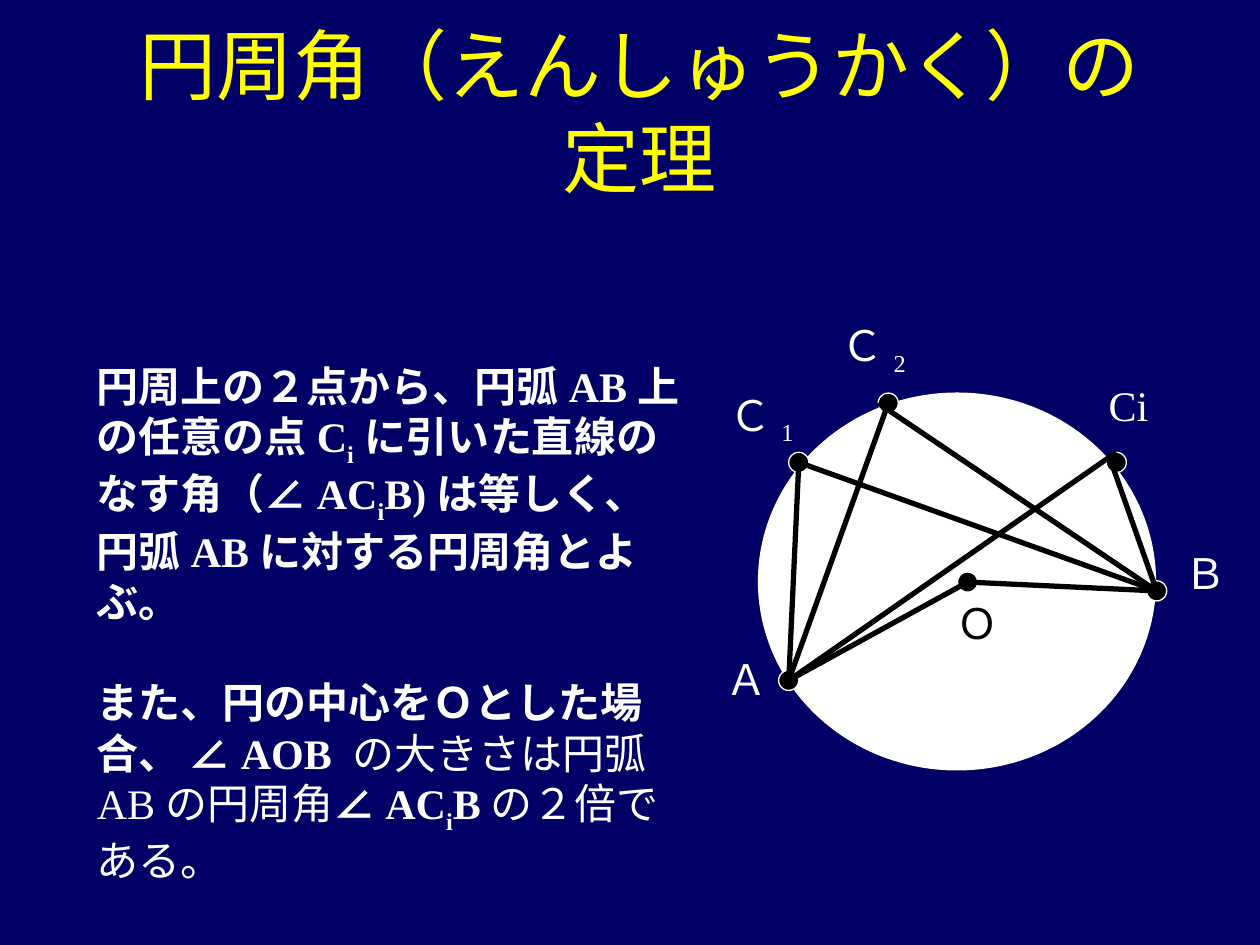
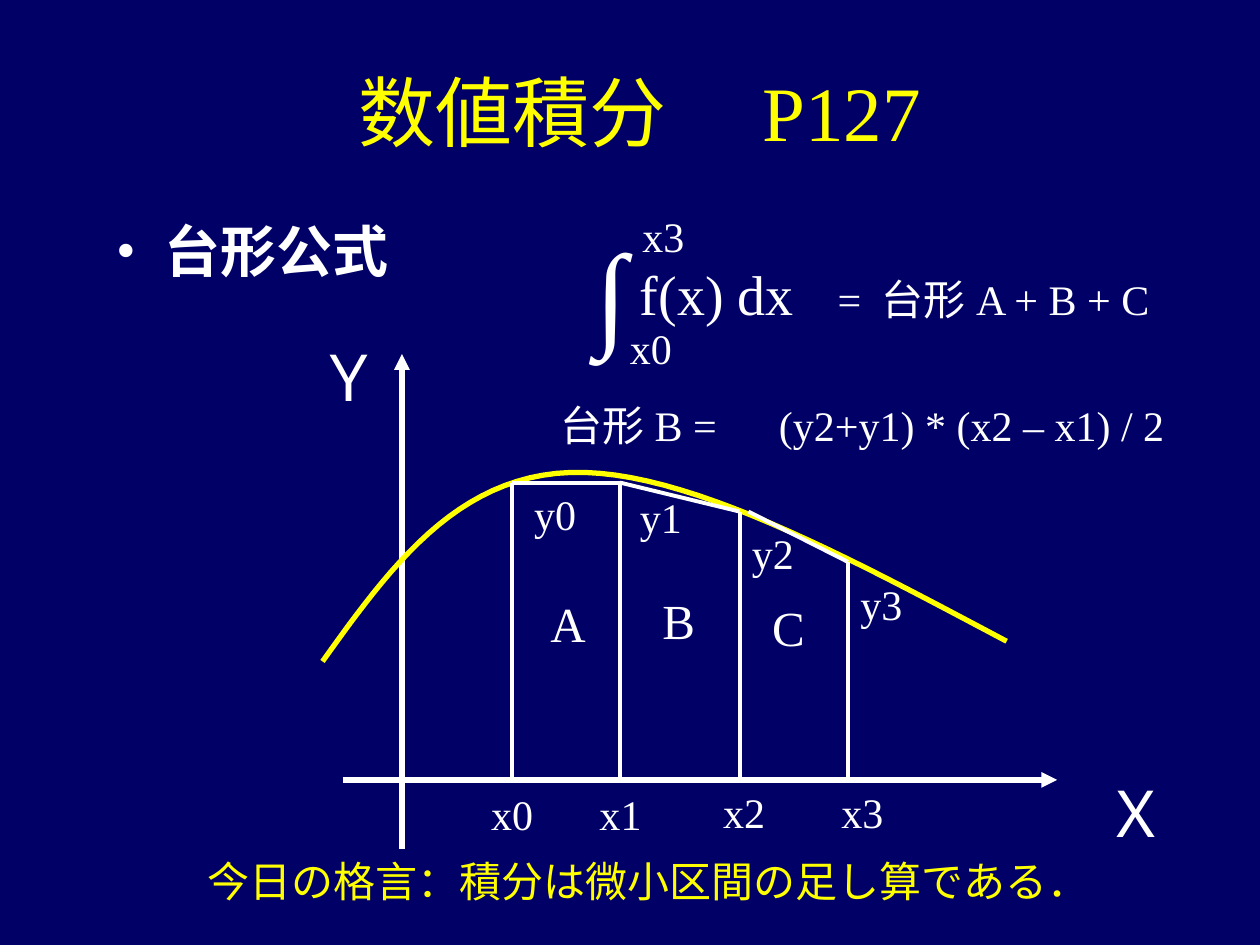
from pptx import Presentation
from pptx.dml.color import RGBColor
from pptx.enum.shapes import MSO_CONNECTOR, MSO_SHAPE
from pptx.enum.text import MSO_ANCHOR, MSO_AUTO_SIZE, PP_ALIGN
from pptx.oxml.ns import qn
from pptx.util import Inches, Pt
from lxml import etree

STRAIGHT, OVAL = MSO_CONNECTOR.STRAIGHT, MSO_SHAPE.OVAL
MIDDLE, CENTER = MSO_ANCHOR.MIDDLE, PP_ALIGN.CENTER
GROW = MSO_AUTO_SIZE.SHAPE_TO_FIT_TEXT

FONT = "Times New Roman"
COLORS = {"background": "000066", "accent": "FFFF00", "text": "FFFFFF", "ink": "000000"}
TITLE_BOX = (0.83, 0.25, 8.5, 1.25)
LABEL_SIZE = (0.53, 0.5)

# Slide 1: runs are (text, style), where style may hold "b" (bold), "_" (subscript), "s" (small)
CIRCLE_TITLE = "円周角（えんしゅうかく）の定理"
THEOREM_BOX = (0.67, 2.81, 4.88, 4.27)
THEOREM = [
    [("円周上の２点から、円弧AB上の任意の点C", "b"), ("i", "b_"),
     ("に引いた直線のなす角（∠AC", "b"), ("i", "b_"),
     ("B)は等しく、円弧ABに対する円周角とよぶ。", "b")],
    [("また、円の中心をＯとした場合、", "b"), (" ", "bs"), ("∠AOB ", "b"),
     ("の大きさは円弧ABの円周角", ""), ("∠AC", "b"), ("i", "b_"), ("B", "b"),
     ("の２倍である。", "")],
]
CIRCLE_BOX = (6.02, 3.12, 3.15, 2.99)
DOT_RADIUS = 0.08
POINTS = {"A": (6.26, 5.4), "B": (9.18, 4.69), "C1": (6.34, 3.67),
          "C2": (7.05, 3.2), "Ci": (8.86, 3.67), "O": (7.68, 4.62)}
CHORDS = [
    (POINTS["A"], POINTS["C1"]), (POINTS["C1"], POINTS["B"]),
    (POINTS["A"], POINTS["C2"]), ((6.97, 3.2), POINTS["B"]),
    (POINTS["A"], (8.86, 3.59)), ((8.82, 3.67), POINTS["B"]),
    (POINTS["A"], POINTS["O"]), (POINTS["O"], POINTS["B"]),
]
POINT_LABELS = [
    ([("Ａ", "")], (5.66, 5.14, *LABEL_SIZE), "text"),
    ([("Ｂ", "")], (9.3, 4.3, *LABEL_SIZE), "text"),
    ([("Ｃ", ""), ("1", "_")], (5.69, 3.04, 0.71, 0.56), "text"),
    ([("Ｃ", ""), ("2", "_")], (6.58, 2.49, 0.71, 0.56), "text"),
    ([("Ci", "")], (8.7, 2.96, 0.55, 0.5), "text"),
    ([("Ｏ", "")], (7.49, 4.69, *LABEL_SIZE), "ink"),
]

# Slide 2
INTEGRAL_TITLE = "数値積分　P127"
BODY_BOX, BODY_TEXT = (0.83, 1.67, 8.5, 5.17), "台形公式"
AXIS_Y = 6.19
AXES = [((2.72, AXIS_Y), (8.39, AXIS_Y)), ((3.19, 6.74), (3.19, 2.81))]
CURVE = [[(2.56, 5.25), (3.09, 4.51), (3.62, 3.78), (4.53, 3.75)],
         [(4.53, 3.75), (5.43, 3.72), (6.71, 4.41), (7.99, 5.09)]]
CURVE_STEPS = 24
ORDINATES = [(4.06, 3.83), (4.92, 3.83), (5.87, 4.06), (6.73, 4.46)]
TRAPEZOID_TOPS = [(ORDINATES[0], ORDINATES[1]), (ORDINATES[1], ORDINATES[2]),
                  ((5.94, 4.06), ORDINATES[3])]
SMALL_LABELS = [
    ("x0", 3.8, 6.21), ("x1", 4.66, 6.21), ("x2", 5.64, 6.19), ("x3", 6.58, 6.19),
    ("y0", 4.14, 3.83), ("y1", 4.98, 3.85), ("y2", 5.87, 4.14), ("y3", 6.73, 4.54),
    ("x0", 4.9, 2.51), ("x3", 5.0, 1.62),
]
OTHER_LABELS = [
    ("Ｘ", (8.67, 6.1, 0.7, 0.7), 36, "text"),
    ("∫", (4.63, 1.7, 0.45, 1.2), 66, "text"),
    ("f(x) dx", (4.98, 2.01, 1.42, 0.64), 32, "text"),
    ("A", (4.27, 4.66, 0.48, 0.57), 28, "text"),
    ("B", (5.16, 4.64, 0.46, 0.57), 28, "text"),
    ("C", (6.03, 4.69, 0.46, 0.57), 28, "text"),
    ("= 台形A + B + C", (6.55, 2.12, 2.69, 0.5), 24, "text"),
    ("台形B =　(y2+y1) * (x2 – x1) / 2", (4.35, 3.12, 4.99, 0.5), 24, "text"),
    ("今日の格言：積分は微小区間の足し算である．", (1.55, 6.74, 7.2, 0.5), 24, "accent"),
]
Y_LABEL, Y_LABEL_BOX = "Ｙ", (2.3, 2.65, 0.8, 0.6)


def rgb(name):
    return RGBColor.from_string(COLORS[name])


def inches(values):
    return [Inches(value) for value in values]


def add_text(slide, box, paragraphs, size=24, color="text", wrap=False):
    """Add a text box; each paragraph is a list of (text, style) runs."""
    shape = slide.shapes.add_textbox(*inches(box))
    frame = shape.text_frame
    frame.word_wrap = wrap
    if not wrap:
        frame.auto_size = GROW
    for index, runs in enumerate(paragraphs):
        paragraph = frame.add_paragraph() if index else frame.paragraphs[0]
        paragraph._p.get_or_add_pPr().set("hangingPunct", "0")
        for text, style in runs:
            run = paragraph.add_run()
            run.text = text
            run.font.name = FONT
            run.font.size = Pt(20 if "s" in style else size)
            run.font.color.rgb = rgb(color)
            run.font.bold = "b" in style
            if "_" in style:
                run._r.get_or_add_rPr().set("baseline", "-25000")
    return shape


def add_line(slide, start, end, color, width, arrow=False):
    line = slide.shapes.add_connector(STRAIGHT, *inches(start + end))
    line.line.color.rgb = rgb(color)
    line.line.width = Pt(width)
    properties = line._element.spPr
    if arrow:
        etree.SubElement(properties.find(qn("a:ln")), qn("a:tailEnd"), type="triangle")
    etree.SubElement(properties, qn("a:effectLst"))


def add_ellipse(slide, box, fill):
    ellipse = slide.shapes.add_shape(OVAL, *inches(box))
    ellipse.shadow.inherit = False
    ellipse.fill.solid()
    ellipse.fill.fore_color.rgb = rgb(fill)
    ellipse.line.color.rgb = rgb("text")
    ellipse.line.width = Pt(0.75)


def bezier_point(controls, t):
    weights = ((1 - t) ** 3, 3 * t * (1 - t) ** 2, 3 * t ** 2 * (1 - t), t ** 3)
    return tuple(sum(weight * point[axis] for weight, point in zip(weights, controls))
                 for axis in (0, 1))


def add_curve(slide):
    points = [inches(bezier_point(controls, step / CURVE_STEPS))
              for controls in CURVE for step in range(1, CURVE_STEPS + 1)]
    builder = slide.shapes.build_freeform(*inches(CURVE[0][0]))
    builder.add_line_segments(points, close=False)
    curve = builder.convert_to_shape()
    curve.shadow.inherit = False
    curve.fill.background()
    curve.line.color.rgb = rgb("accent")
    curve.line.width = Pt(3)


def add_bullet(paragraph):
    properties = paragraph._p.get_or_add_pPr()
    properties.set("marL", str(Inches(0.38)))
    properties.set("indent", str(Inches(-0.38)))
    color = etree.SubElement(properties, qn("a:buClr"))
    etree.SubElement(color, qn("a:srgbClr"), val=COLORS["text"])
    etree.SubElement(properties, qn("a:buFont"), typeface=FONT)
    etree.SubElement(properties, qn("a:buChar"), char="•")


def add_titled_slide(presentation, title):
    slide = presentation.slides.add_slide(presentation.slide_layouts[6])
    slide.background.fill.solid()
    slide.background.fill.fore_color.rgb = rgb("background")
    frame = add_text(slide, TITLE_BOX, [[(title, "")]], 44, "accent", wrap=True).text_frame
    frame.vertical_anchor = MIDDLE
    frame.paragraphs[0].alignment = CENTER
    return slide


def build_circle_slide(presentation):
    slide = add_titled_slide(presentation, CIRCLE_TITLE)
    theorem = add_text(slide, THEOREM_BOX, THEOREM, wrap=True)
    theorem.text_frame.paragraphs[1].space_before = Pt(29)
    add_ellipse(slide, CIRCLE_BOX, "text")
    for x, y in POINTS.values():
        add_ellipse(slide, (x - DOT_RADIUS, y - DOT_RADIUS, 2 * DOT_RADIUS, 2 * DOT_RADIUS), "ink")
    for start, end in CHORDS:
        add_line(slide, start, end, "ink", 3)
    for runs, box, color in POINT_LABELS:
        add_text(slide, box, [runs], color=color)


def build_integral_slide(presentation):
    slide = add_titled_slide(presentation, INTEGRAL_TITLE)
    body = add_text(slide, BODY_BOX, [[(BODY_TEXT, "b")]], 32, wrap=True)
    add_bullet(body.text_frame.paragraphs[0])
    for start, end in AXES:
        add_line(slide, start, end, "text", 3, arrow=True)
    add_curve(slide)
    feet = [(top, (top[0], AXIS_Y)) for top in ORDINATES]
    for start, end in feet + TRAPEZOID_TOPS:
        add_line(slide, start, end, "text", 2.25)
    small = [(text, (left, top, *LABEL_SIZE), 24, "text") for text, left, top in SMALL_LABELS]
    for text, box, size, color in small + OTHER_LABELS:
        add_text(slide, box, [[(text, "")]], size, color)
    frame = add_text(slide, Y_LABEL_BOX, [[(Y_LABEL, "")]], 36).text_frame
    frame.margin_left = frame.margin_right = Inches(0.05)
    frame.margin_top = frame.margin_bottom = Inches(0.1)
    frame._txBody.bodyPr.set("vert", "eaVert")


def main():
    presentation = Presentation()
    presentation.slide_width, presentation.slide_height = Inches(10), Inches(7.5)
    build_circle_slide(presentation)
    build_integral_slide(presentation)
    presentation.save("out.pptx")


if __name__ == "__main__":
    main()
